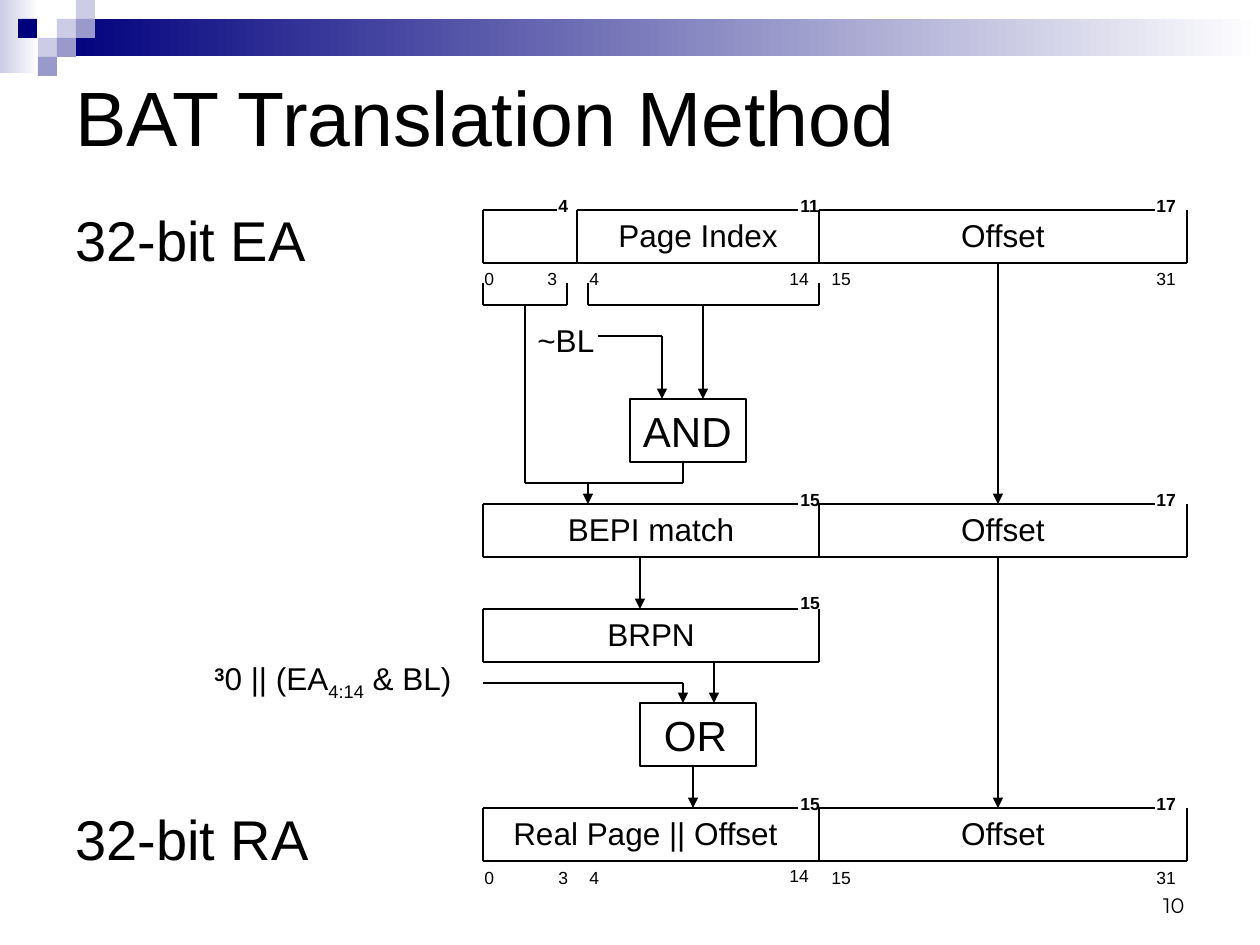
from dataclasses import dataclass
from lxml import etree
from pptx import Presentation
from pptx.dml.color import RGBColor
from pptx.enum.shapes import MSO_CONNECTOR, MSO_SHAPE
from pptx.enum.text import MSO_ANCHOR, PP_ALIGN
from pptx.oxml.ns import qn
from pptx.util import Emu, Pt

RECT, STRAIGHT = MSO_SHAPE.RECTANGLE, MSO_CONNECTOR.STRAIGHT
LEFT, CENTER, RIGHT = PP_ALIGN.LEFT, PP_ALIGN.CENTER, PP_ALIGN.RIGHT
TOP, MIDDLE, BOTTOM = MSO_ANCHOR.TOP, MSO_ANCHOR.MIDDLE, MSO_ANCHOR.BOTTOM


@dataclass(frozen=True)
class Theme:
    ink: str = "000000"
    white: str = "FFFFFF"
    navy: str = "00007D"
    mid: str = "9999CC"
    pale: str = "CCCCE6"
    font: str = "Arial"
    number_font: str = "Montserrat"
    title: int = 44
    heading: int = 32
    gate: int = 24
    label: int = 18
    page: int = 12
    bit: int = 10
    line: float = 0.75


T = Theme()
SQUARE, ROW_H = 19, 53

BANDS = [(0, 0, 39, 73, T.pale), (57, 19, 1203, 37, T.navy)]
SQUARES = [
    (57, 19, T.pale), (76, 0, T.pale), (76, 19, T.mid), (38, 38, T.pale),
    (18, 19, T.navy), (57, 38, T.mid), (38, 57, T.mid),
]
HEADINGS = [
    ("BAT Translation Method", T.title, (63, 21, 1134, 189), MIDDLE),
    ("32-bit EA", T.heading, (63, 199, 1134, 640), TOP),
    ("32-bit RA", T.heading, (63, 798, 536, 81), TOP),
]

# left, right, gap in the top edge, bit count left of the right edge, label width
OFFSET = (819, 1187, 32, 43, 368, "Offset", "17")
ROWS = [
    (210, 21, [(483, 577, 20, 31, 94, "", "4"),
               (577, 819, 21, 31, 242, "Page Index", "11"), OFFSET]),
    (504, 21, [(483, 819, 21, 31, 336, "BEPI match", "15"), OFFSET]),
    (609, 23, [(483, 819, 21, 31, 336, "BRPN", "15")]),
    (808, 21, [(483, 819, 21, 31, 325, "Real Page || Offset", "15"), OFFSET]),
]
BIT_NUMBERS = [
    (262, [(472, "0"), (535, "3"), (577, "4"), (777, "14"), (819, "15"), (1144, "31")]),
    (861, [(472, "0"), (546, "3"), (577, "4"), (819, "15"), (1144, "31")]),
    (859, [(777, "14")]),
]
GATES = [("AND", 630, 399, 13), ("OR", 640, 703, 24)]
PLAIN_ROUTES = [
    [(483, 283), (483, 305), (567, 305), (567, 283)],
    [(588, 283), (588, 305), (819, 305), (819, 283)],
    [(525, 305), (525, 483), (683, 483), (683, 462)],
]
ARROW_ROUTES = [
    [(703, 305), (703, 399)],
    [(598, 336), (662, 336), (662, 399)],
    [(588, 483), (588, 504)],
    [(998, 263), (998, 504)],
    [(998, 557), (998, 808)],
    [(640, 557), (640, 609)],
    [(714, 662), (714, 703)],
    [(483, 683), (683, 683), (683, 703)],
    [(693, 766), (693, 808)],
]
MASK_TERM = [("3", True, 30), ("0 || (EA", False, 0), ("4:14", False, -25), (" & BL)", False, 0)]

prs = Presentation()


def px(n):
    return Emu(round(n * 914400 / 126))


def rgb(value):
    return RGBColor.from_string(value)


def add_rect(x, y, w, h):
    sp = s.shapes.add_shape(RECT, px(x), px(y), px(w), px(h))
    sp.shadow.inherit = False
    return sp


def write(sp, runs, size, align=LEFT, anchor=TOP, font=T.font):
    tf = sp.text_frame
    tf.word_wrap = True
    tf.vertical_anchor = anchor
    p = tf.paragraphs[0]
    p.alignment = align
    for text, bold, baseline in runs:
        r = p.add_run()
        r.text = text
        r.font.name, r.font.size, r.font.bold = font, Pt(size), bold
        r.font.color.rgb = rgb(T.ink)
        if baseline:
            r._r.get_or_add_rPr().set("baseline", str(baseline * 1000))


def add_text(box, text, size, bold=False, **style):
    sp = s.shapes.add_textbox(*map(px, box))
    write(sp, [(text, bold, 0)], size, **style)


def add_route(points, arrow=False):
    for start, end in zip(points, points[1:]):
        cx = s.shapes.add_connector(STRAIGHT, *map(px, start + end))
        cx.line.color.rgb = rgb(T.ink)
        cx.line.width = Pt(T.line)
        if arrow and end == points[-1]:
            etree.SubElement(cx.line._get_or_add_ln(), qn("a:tailEnd"), type="triangle")
        etree.SubElement(cx._element.spPr, qn("a:effectLst"))


prs.slide_width, prs.slide_height = px(1260), px(945)
s = prs.slides.add_slide(prs.slide_layouts[6])

for x, y, w, h, color in BANDS:
    sp = add_rect(x, y, w, h)
    sp.line.fill.background()
    sp.fill.gradient()
    sp.fill.gradient_angle = 0
    for stop, value in zip(sp.fill.gradient_stops, (color, T.white)):
        stop.color.rgb = rgb(value)

for x, y, color in SQUARES:
    sp = add_rect(x, y, SQUARE, SQUARE)
    sp.line.fill.background()
    sp.fill.solid()
    sp.fill.fore_color.rgb = rgb(color)

for text, size, box, anchor in HEADINGS:
    add_text(box, text, size, anchor=anchor)

for top, lift, fields in ROWS:
    bottom = top + ROW_H
    first, last = fields[0][0], fields[-1][1]
    add_route([(first, bottom), (last, bottom)])
    add_route([(last, top), (last, bottom)])
    for left, right, gap, inset, width, label, bits in fields:
        add_route([(left, top), (left, bottom)])
        add_route([(left, top), (right - gap, top)])
        add_text((right - inset, top - lift, 53, 34), bits, T.bit, bold=True)
        if label:
            add_text((left, top, width, 50), label, T.label, align=CENTER)

for y, numbers in BIT_NUMBERS:
    for x, text in numbers:
        add_text((x, y, 53 if len(text) > 1 else 34, 34), text, T.bit)

for name, x, y, inset in GATES:
    sp = add_rect(x, y, 116, 63)
    sp.fill.background()
    sp.line.color.rgb = rgb(T.ink)
    sp.line.width = Pt(T.line)
    write(sp, [(name, False, 0)], T.gate)
    sp.text_frame.margin_left, sp.text_frame.margin_right = px(inset), 0

for route in PLAIN_ROUTES:
    add_route(route)
for route in ARROW_ROUTES:
    add_route(route, arrow=True)

add_text((525, 315, 84, 50), "~BL", T.label)
sp = s.shapes.add_textbox(px(193), px(653), px(280), px(55))
write(sp, MASK_TERM, T.label, align=CENTER)
add_text((903, 861, 294, 63), "10", T.page, align=RIGHT, anchor=BOTTOM, font=T.number_font)

prs.save("out.pptx")
